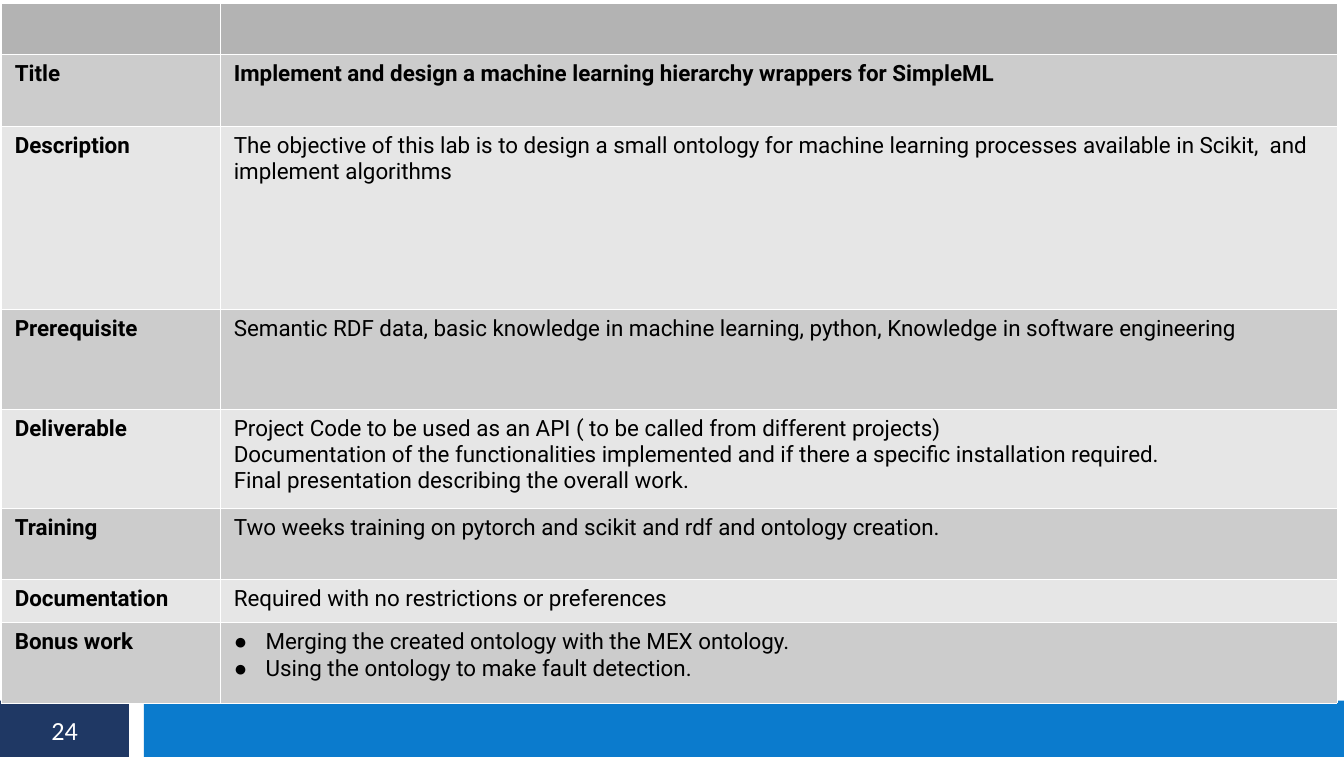
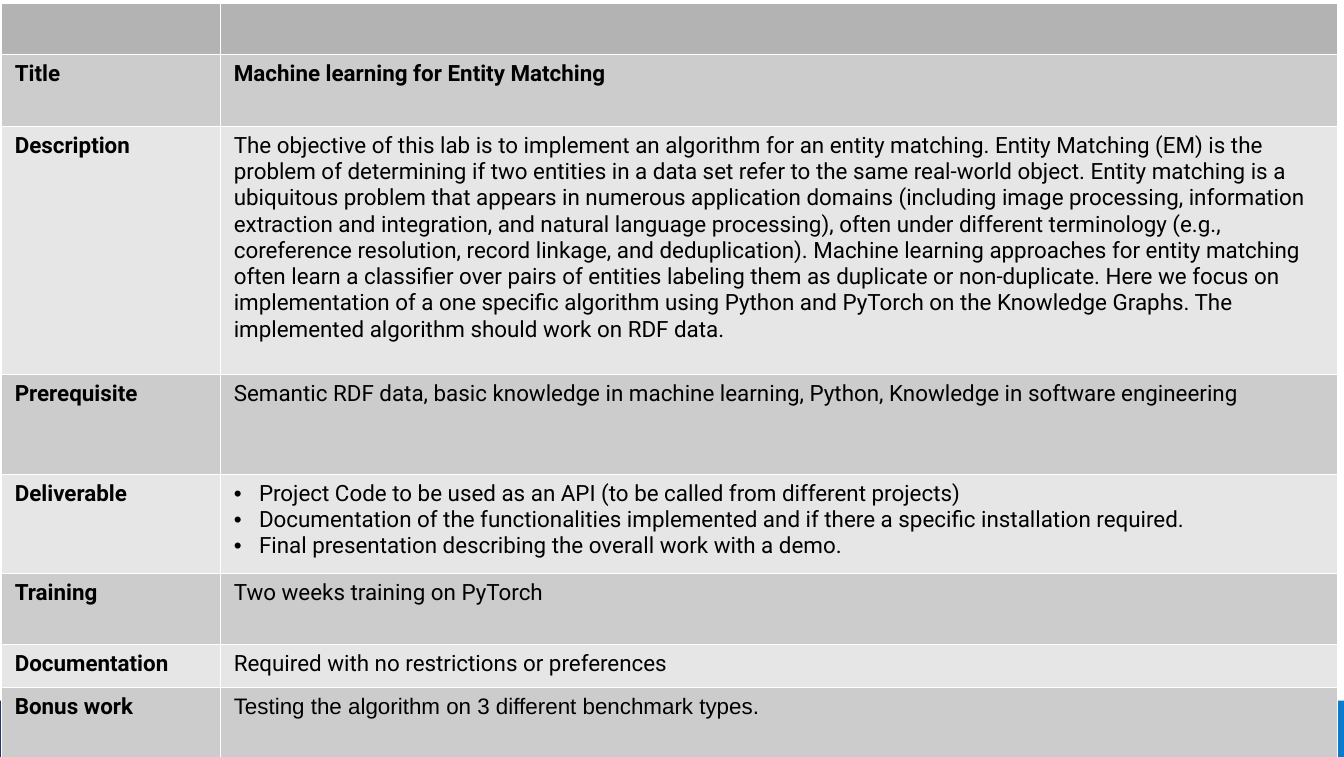
"""Build two lab project sheets, each a table of project details over a footer band."""
from dataclasses import dataclass

from lxml.etree import SubElement
from pptx import Presentation
from pptx.dml.color import RGBColor
from pptx.enum.shapes import MSO_SHAPE
from pptx.enum.text import MSO_ANCHOR, PP_ALIGN
from pptx.oxml.ns import qn
from pptx.slide import Slide
from pptx.table import _Cell
from pptx.text.text import _Paragraph
from pptx.util import Pt

BLACK, WHITE = "000000", "FFFFFF"
NAVY, BLUE = "1F3864", "0B7BCD"
HEADING_GREY, DARK_GREY, LIGHT_GREY = "B3B3B3", "CCCCCC", "E6E6E6"
BODY_FONT, NUMBER_FONT = "Roboto", "Calibri"
BODY_SIZE, NUMBER_SIZE = 12, 14
SLIDE_WIDTH, SLIDE_HEIGHT = 720, 405.5
TABLE_LEFT, TABLE_TOP = 0.72, 1.6
COLUMN_WIDTHS = (117.36, 598.32)
HEADING_HEIGHT = 27.4
BORDER_WIDTH = 0.06
BAND_HEIGHT = 30.24
BAND_TOP = SLIDE_HEIGHT - BAND_HEIGHT


@dataclass(frozen=True)
class Band:
    """A coloured part of the footer."""
    left: float
    width: float
    color: str


@dataclass(frozen=True)
class Bullet:
    """A list mark and its hanging indent."""
    mark: str
    indent: float


@dataclass(frozen=True)
class Detail:
    """One labelled row of a project sheet."""
    label: str
    height: float
    lines: tuple[str, ...]
    bold: bool = False
    bullet: Bullet | None = None
    font: str = BODY_FONT


@dataclass(frozen=True)
class Project:
    """A project sheet and its page number."""
    page: int
    details: tuple[Detail, ...]


FOOTER_BANDS = (Band(-1.44, 70.56, NAVY), Band(77.04, 642.96, BLUE))
DISC = Bullet("●", 17)
DOT = Bullet("•", 13.5)

PROJECTS = (
    Project(24, (
        Detail("Title", 38.4, (
            "Implement and design a machine learning hierarchy wrappers for SimpleML",), bold=True),
        Detail("Description", 98.2, (
            "The objective of this lab is to design a small ontology for machine learning "
            "processes available in Scikit,  and implement algorithms",)),
        Detail("Prerequisite", 53.4, (
            "Semantic RDF data, basic knowledge in machine learning, python, "
            "Knowledge in software engineering",)),
        Detail("Deliverable", 53.2, (
            "Project Code to be used as an API ( to be called from different projects)",
            "Documentation of the functionalities implemented and if there a specific "
            "installation required.",
            "Final presentation describing the overall work.")),
        Detail("Training", 38.2, (
            "Two weeks training on pytorch and scikit and rdf and ontology creation.",)),
        Detail("Documentation", 23.04, ("Required with no restrictions or preferences",)),
        Detail("Bonus work", 43.2, (
            "Merging the created ontology with the MEX ontology.",
            "Using the ontology to make fault detection."), bullet=DISC),
    )),
    Project(25, (
        Detail("Title", 38.4, ("Machine learning for Entity Matching",), bold=True),
        Detail("Description", 133, (
            "The objective of this lab is to implement an algorithm for an entity matching. "
            "Entity Matching (EM) is the problem of determining if two entities in a data set "
            "refer to the same real-world object. Entity matching is a ubiquitous problem that "
            "appears in numerous application domains (including image processing, information "
            "extraction and integration, and natural language processing), often under different "
            "terminology (e.g., coreference resolution, record linkage, and deduplication). "
            "Machine learning approaches for entity matching",
            "often learn a classifier over pairs of entities labeling them as duplicate or "
            "non-duplicate. Here we focus on implementation of a one specific algorithm using "
            "Python and PyTorch on the Knowledge Graphs. The implemented algorithm should work "
            "on RDF data.")),
        Detail("Prerequisite", 53.4, (
            "Semantic RDF data, basic knowledge in machine learning, Python, "
            "Knowledge in software engineering",)),
        Detail("Deliverable", 53.2, (
            "Project Code to be used as an API (to be called from different projects)",
            "Documentation of the functionalities implemented and if there a specific "
            "installation required.",
            "Final presentation describing the overall work with a demo."), bullet=DOT),
        Detail("Training", 38.2, ("Two weeks training on PyTorch",)),
        Detail("Documentation", 23.04, ("Required with no restrictions or preferences",)),
        Detail("Bonus work", 43.2, (
            "Testing the algorithm on 3 different benchmark types.",), font="Arial"),
    )),
)


def rgb(color: str) -> RGBColor:
    """Turn a hex string into a colour."""
    return RGBColor.from_string(color)


def add_run(paragraph: _Paragraph, text: str, font: str, size: float, color: str,
            bold: bool = False) -> None:
    """Append one styled run to a paragraph."""
    run = paragraph.add_run()
    run.text = text
    run.font.name = font
    run.font.size = Pt(size)
    run.font.bold = bold
    run.font.color.rgb = rgb(color)


def set_bullet(paragraph: _Paragraph, bullet: Bullet) -> None:
    """Give a paragraph a list mark with a hanging indent."""
    properties = paragraph._p.get_or_add_pPr()
    properties.set("marL", str(Pt(bullet.indent)))
    properties.set("indent", str(-Pt(bullet.indent)))
    mark_color = SubElement(properties, qn("a:buClr"))
    SubElement(mark_color, qn("a:srgbClr"), val=BLACK)
    SubElement(properties, qn("a:buFont"), typeface="Arial")
    SubElement(properties, qn("a:buChar"), char=bullet.mark)


def style_cell(cell: _Cell, color: str) -> None:
    """Set the white borders and the fill of a cell."""
    properties = cell._tc.get_or_add_tcPr()
    for side in ("a:lnL", "a:lnR", "a:lnT", "a:lnB"):
        border = SubElement(properties, qn(side), w=str(Pt(BORDER_WIDTH)))
        border_fill = SubElement(border, qn("a:solidFill"))
        SubElement(border_fill, qn("a:srgbClr"), val=WHITE)
    cell.fill.solid()
    cell.fill.fore_color.rgb = rgb(color)


def write_cell(cell: _Cell, lines: tuple[str, ...], bold: bool, font: str = BODY_FONT,
               bullet: Bullet | None = None) -> None:
    """Write each line as a paragraph of the cell."""
    frame = cell.text_frame
    for index, line in enumerate(lines):
        paragraph = frame.add_paragraph() if index else frame.paragraphs[0]
        if bullet:
            set_bullet(paragraph, bullet)
        add_run(paragraph, line, font, BODY_SIZE, BLACK, bold)


def draw_footer(slide: Slide, page: int) -> None:
    """Draw the footer bands and the page number."""
    for band in FOOTER_BANDS:
        strip = slide.shapes.add_shape(MSO_SHAPE.RECTANGLE, Pt(band.left), Pt(BAND_TOP),
                                       Pt(band.width), Pt(BAND_HEIGHT))
        strip.shadow.inherit = False
        strip.fill.solid()
        strip.fill.fore_color.rgb = rgb(band.color)
        strip.line.fill.background()
    frame = slide.shapes.add_textbox(Pt(18.72), Pt(382.32), Pt(28.08), Pt(17.28)).text_frame
    frame.word_wrap = True
    frame.vertical_anchor = MSO_ANCHOR.MIDDLE
    frame.margin_left = frame.margin_right = Pt(5.04)
    frame.margin_top = frame.margin_bottom = Pt(2.88)
    page_line = frame.paragraphs[0]
    page_line.alignment = PP_ALIGN.RIGHT
    add_run(page_line, str(page), NUMBER_FONT, NUMBER_SIZE, WHITE)


def draw_details(slide: Slide, details: tuple[Detail, ...]) -> None:
    """Draw the table of project details under an empty heading row."""
    heights = [HEADING_HEIGHT, *(detail.height for detail in details)]
    table = slide.shapes.add_table(len(heights), len(COLUMN_WIDTHS), Pt(TABLE_LEFT),
                                   Pt(TABLE_TOP), Pt(sum(COLUMN_WIDTHS)),
                                   Pt(sum(heights))).table
    table.first_row = table.horz_banding = False
    for column, width in zip(table.columns, COLUMN_WIDTHS):
        column.width = Pt(width)
    for row, height in zip(table.rows, heights):
        row.height = Pt(height)
    for heading in table.rows[0].cells:
        style_cell(heading, HEADING_GREY)
        SubElement(heading.text_frame.paragraphs[0]._p, qn("a:endParaRPr"),
                   sz=str(BODY_SIZE * 100))
    for index, detail in enumerate(details, start=1):
        label, content = table.rows[index].cells
        for cell in (label, content):
            style_cell(cell, DARK_GREY if index % 2 else LIGHT_GREY)
        write_cell(label, (detail.label,), True)
        write_cell(content, detail.lines, detail.bold, detail.font, detail.bullet)


def main() -> None:
    """Build and save the presentation."""
    presentation = Presentation()
    presentation.slide_width = Pt(SLIDE_WIDTH)
    presentation.slide_height = Pt(SLIDE_HEIGHT)
    for project in PROJECTS:
        slide = presentation.slides.add_slide(presentation.slide_layouts[6])
        slide.background.fill.solid()
        slide.background.fill.fore_color.rgb = rgb(WHITE)
        draw_footer(slide, project.page)
        draw_details(slide, project.details)
    presentation.save("out.pptx")


if __name__ == "__main__":
    main()
